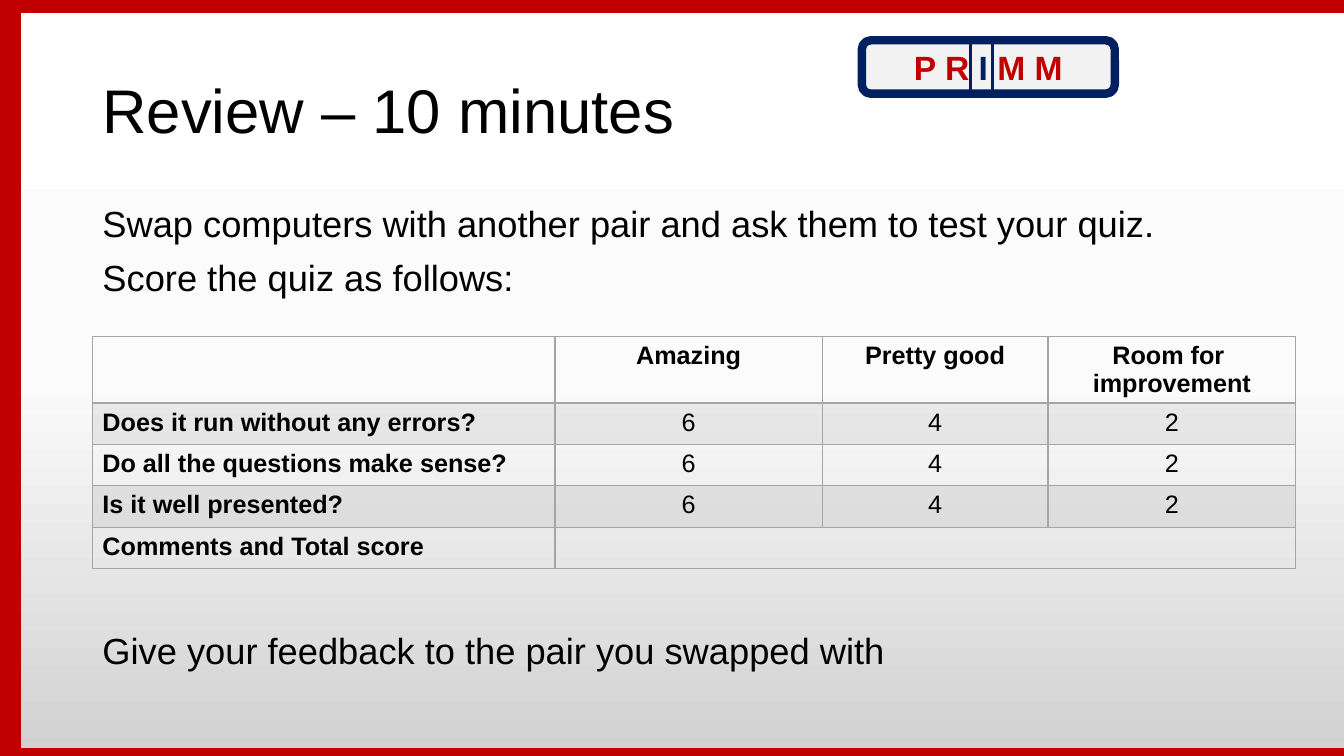
import copy
from dataclasses import dataclass

import pptx
import pptx.util
import pptx.dml.color
import pptx.enum.shapes
import pptx.enum.text
import pptx.oxml
import pptx.oxml.ns

Pt = pptx.util.Pt
RGB = pptx.dml.color.RGBColor.from_string
Align = pptx.enum.text.PP_ALIGN
Anchor = pptx.enum.text.MSO_ANCHOR
Shape = pptx.enum.shapes.MSO_SHAPE
qn = pptx.oxml.ns.qn


@dataclass(frozen=True)
class Theme:
    font: str = "Arial"
    ink: str = "000000"
    red: str = "C00000"
    navy: str = "002060"
    badge: str = "F2F2F2"
    grey: str = "A5A5A5"
    band_opacity: int = 20
    backdrop: tuple = ((0, "FFFFFF"), (0.5, "FBFBFB"), (1, "D1D1D1"))
    title_size: float = 44
    body_size: float = 25.9
    badge_size: float = 24
    table_size: float = 18


THEME = Theme()
COLUMNS, ROWS = 160, 90
CELL = pptx.util.Inches(7.5) / ROWS
QUESTIONS = ["Does it run without any errors?", "Do all the questions make sense?",
             "Is it well presented?"]
RATINGS = {"Amazing": "6", "Pretty good": "4", "Room for \nimprovement": "2"}


def grid(*cells):
    return [round(cell * CELL) for cell in cells]


def apply(target, values):
    for name, value in values.items():
        setattr(target, name, value)


def write(paragraph, pieces, size, bold=False, **layout):
    apply(paragraph, layout)
    for text, color in pieces:
        run = paragraph.add_run()
        run.text = text
        apply(run.font, {"name": THEME.font, "size": Pt(size), "bold": bold})
        run.font.color.rgb = RGB(color)


def write_lines(frame, lines, size, bold=False, **layout):
    for index, line in enumerate(lines):
        paragraph = frame.add_paragraph() if index else frame.paragraphs[0]
        write(paragraph, [(line, THEME.ink)], size, bold, **layout)


def place(placeholder, left, top, width, height, anchor):
    edges = grid(left, top, width, height)
    apply(placeholder, dict(zip(("left", "top", "width", "height"), edges)))
    apply(placeholder.text_frame, {"word_wrap": True, "vertical_anchor": anchor})
    return placeholder.text_frame


def outline(slide, kind, box, color, weight, fill=None):
    shape = slide.shapes.add_shape(kind, *grid(*box))
    shape.shadow.inherit = False
    if fill:
        shape.fill.solid()
        shape.fill.fore_color.rgb = RGB(fill)
    else:
        shape.fill.background()
    shape.line.color.rgb = RGB(color)
    shape.line.width = Pt(weight)
    return shape


def paint_backdrop(slide):
    fill = slide.background.fill
    fill.gradient()
    fill.gradient_angle = 270
    stop_list = next(slide.element.iter(qn("a:gsLst")))
    stop_list.append(copy.deepcopy(stop_list[0]))
    for stop, (position, color) in zip(fill.gradient_stops, THEME.backdrop):
        stop.position = position
        stop.color.rgb = RGB(color)


def add_frame(slide):
    frame = outline(slide, Shape.RECTANGLE, (0.96, 0, 160.68, 90.6), THEME.red, 18)
    slide.shapes.title.element.addprevious(frame.element)


def fill_body(body):
    frame = place(body, 11, 24, 138, 57.12, Anchor.TOP)
    write_lines(frame, ["Swap computers with another pair and ask them to test your quiz.",
                        "Score the quiz as follows:",
                        "Give your feedback to the pair you swapped with"],
                THEME.body_size, line_spacing=0.9, space_before=Pt(10))
    frame.paragraphs[-1].space_before = Pt(239)
    for paragraph in frame.paragraphs:
        properties = paragraph._p.get_or_add_pPr()
        properties.set("marL", "0")
        properties.set("indent", "0")
        properties.append(pptx.oxml.parse_xml(
            f'<a:buNone {pptx.oxml.ns.nsdecls("a")}/>'))


def style_cell(cell, banded, header):
    if banded:
        cell.fill.solid()
        cell.fill.fore_color.rgb = RGB(THEME.grey)
    else:
        cell.fill.background()
    properties = cell._tc.get_or_add_tcPr()
    for color in properties.iter(qn("a:srgbClr")):
        opacity = color.makeelement(qn("a:alpha"), {"val": str(THEME.band_opacity * 1000)})
        color.append(opacity)
    for index, side in enumerate("LRTB"):
        weight = Pt(2 if header and side == "B" else 1)
        properties.insert(index, pptx.oxml.parse_xml(
            f'<a:ln{side} {pptx.oxml.ns.nsdecls("a")} w="{weight}"><a:solidFill>'
            f'<a:srgbClr val="{THEME.grey}"/></a:solidFill></a:ln{side}>'))


def add_score_table(slide):
    widths = grid(55.08, 31.8, 26.88, 29.52)
    scores = list(RATINGS.values())
    content = [["", *RATINGS], *([question, *scores] for question in QUESTIONS),
               ["Comments and Total score", "", "", ""]]
    heights = grid(7.92, *[4.92] * (len(content) - 1))
    left, top = grid(11, 40.08)
    table = slide.shapes.add_table(len(content), len(widths), left, top,
                                   sum(widths), sum(heights)).table
    apply(table, {"first_row": False, "horz_banding": False})
    for column, width in zip(table.columns, widths):
        column.width = width
    for row, (texts, height) in enumerate(zip(content, heights)):
        table.rows[row].height = height
        for column, text in enumerate(texts):
            cell = table.cell(row, column)
            style_cell(cell, banded=row % 2 == 1, header=row == 0)
            if text:
                write_lines(cell.text_frame, text.split("\n"), THEME.table_size,
                            bold=row == 0 or column == 0,
                            alignment=Align.CENTER if column else Align.LEFT)
    last = len(content) - 1
    table.cell(last, 1).merge(table.cell(last, len(widths) - 1))


def add_stage_badge(slide):
    top, height = 4.8, 6.36
    badge = outline(slide, Shape.ROUNDED_RECTANGLE, (102.6, top, 30.12, height),
                    THEME.navy, 6, THEME.badge)
    badge.text_frame.vertical_anchor = Anchor.MIDDLE
    write(badge.text_frame.paragraphs[0],
          [("P R ", THEME.red), ("I", THEME.navy), (" M M", THEME.red)],
          THEME.badge_size, bold=True, alignment=Align.CENTER)
    outline(slide, Shape.RECTANGLE, (115.56, top, 2.64, height), THEME.navy, 2.25)


def main():
    deck = pptx.Presentation()
    width, height = grid(COLUMNS, ROWS)
    apply(deck, {"slide_width": width, "slide_height": height})
    slide = deck.slides.add_slide(deck.slide_layouts[1])
    paint_backdrop(slide)
    add_frame(slide)
    heading = place(slide.shapes.title, 11, 4.8, 138, 17.4, Anchor.MIDDLE)
    write_lines(heading, ["Review – 10 minutes"], THEME.title_size,
                line_spacing=0.9, alignment=Align.LEFT)
    fill_body(slide.placeholders[1])
    add_score_table(slide)
    add_stage_badge(slide)
    deck.save("out.pptx")


main()
